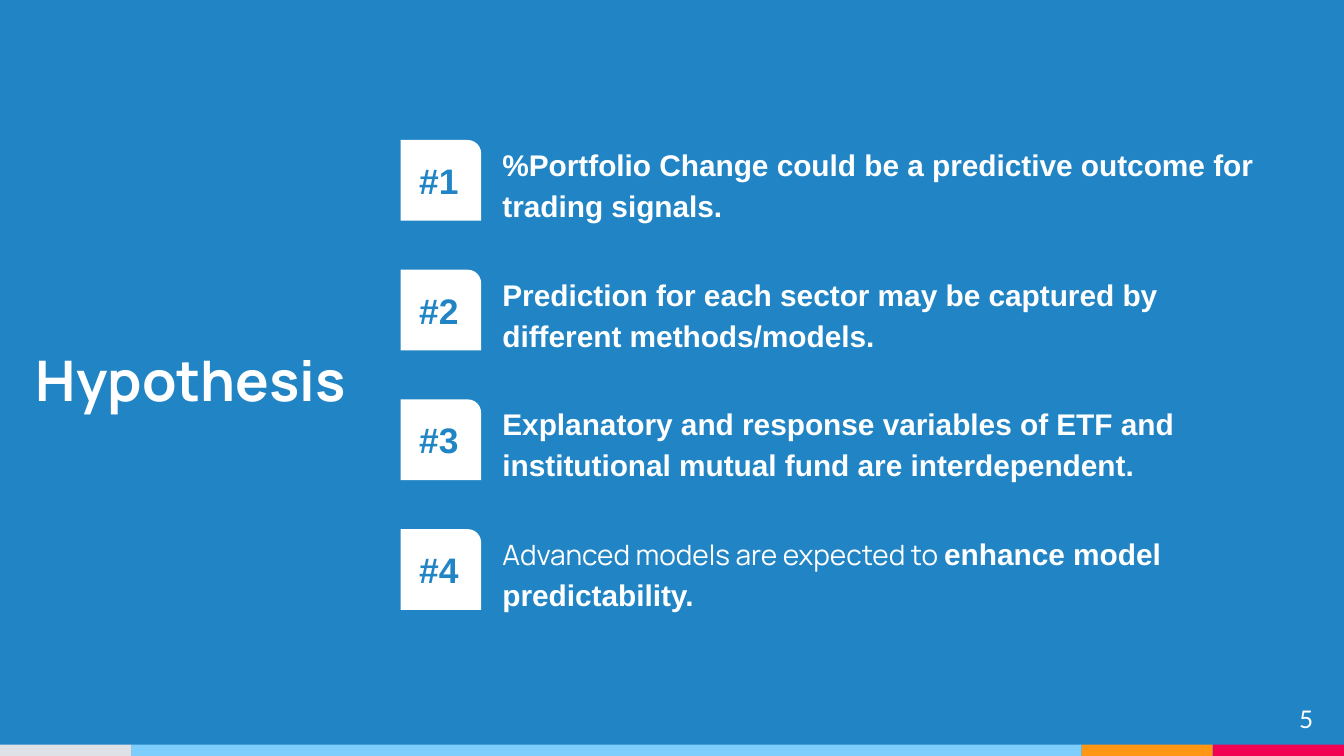
import pptx
import pptx.dml.color
import pptx.enum.shapes
import pptx.enum.text
import pptx.util

Pt = pptx.util.Pt
Align = pptx.enum.text.PP_ALIGN
Anchor = pptx.enum.text.MSO_ANCHOR
Shape = pptx.enum.shapes.MSO_SHAPE

BLUE = "2185C5"
WHITE = "FFFFFF"
STRIPES = [("DEE2E6", 70.5), ("7ECEFD", 509), ("FF9715", 70.25), ("F20253", 70.25)]
HYPOTHESES = [
    [("%Portfolio Change could be a predictive outcome for trading signals.", "Arial", 16, True)],
    [("Prediction for each sector may be captured by different methods/models.", "Arial", 16, True)],
    [("Explanatory and response variables of ETF and institutional mutual fund "
      "are interdependent.", "Arial", 16, True)],
    [("Advanced models are expected to ", "Manrope", 15, False),
     ("enhance model predictability.", "Arial", 16, True)],
]
FIRST_BADGE_TOP = 75
ROW_PITCH = 69.5
BADGE_SIZE = 43.2


def set_fill(target, color):
    """Fill a shape or background with a solid hex colour."""
    target.fill.solid()
    target.fill.fore_color.rgb = pptx.dml.color.RGBColor.from_string(color)


def write_text(shape, runs, color, align=Align.LEFT, anchor=Anchor.TOP, spacing=None):
    """Write one paragraph of (text, font, size, bold) runs into a shape."""
    frame = shape.text_frame
    frame.word_wrap = True
    frame.vertical_anchor = anchor
    frame.margin_left = frame.margin_right = Pt(7.2)
    frame.margin_top = frame.margin_bottom = Pt(7.2)
    para = frame.paragraphs[0]
    para.alignment = align
    para.line_spacing = spacing
    for text, font, size, bold in runs:
        span = para.add_run()
        span.text = text
        span.font.name = font
        span.font.size = Pt(size)
        span.font.bold = bold
        span.font.color.rgb = pptx.dml.color.RGBColor.from_string(color)


def add_text(page, left, top, width, height, runs, **layout):
    """Add a white text box."""
    box = page.shapes.add_textbox(Pt(left), Pt(top), Pt(width), Pt(height))
    write_text(box, runs, WHITE, **layout)


def add_block(page, kind, left, top, width, height, color):
    """Add a filled shape without outline or shadow."""
    block = page.shapes.add_shape(kind, Pt(left), Pt(top), Pt(width), Pt(height))
    block.shadow.inherit = False
    block.line.fill.background()
    set_fill(block, color)
    return block


def add_footer(page):
    """Add the coloured stripes along the bottom edge and the page number."""
    left = 0
    for color, width in STRIPES:
        add_block(page, Shape.RECTANGLE, left, 399, width, 6, color)
        left += width
    add_text(page, 667.4, 370, 43.2, 24.5, [("5", "Lato", 13, False)], align=Align.RIGHT)


def add_hypothesis(page, number, runs):
    """Add a numbered badge with its statement."""
    top = FIRST_BADGE_TOP + (number - 1) * ROW_PITCH
    badge = add_block(page, Shape.ROUND_1_RECTANGLE, 214.6, top, BADGE_SIZE, BADGE_SIZE, WHITE)
    write_text(badge, [(f"#{number}", "Arial", 19, True)], BLUE, Align.CENTER, Anchor.MIDDLE)
    add_text(page, 262.1, top - 6.6, 432, 56.2, runs, spacing=1.15)


def main():
    """Build and save the slide."""
    deck = pptx.Presentation()
    deck.slide_width = Pt(720)
    deck.slide_height = Pt(405)
    page = deck.slides.add_slide(deck.slide_layouts[6])
    set_fill(page.background, BLUE)
    add_footer(page)
    add_text(page, 12.2, 160.6, 202.3, 67.7, [("Hypothesis", "Manrope", 30, True)],
             anchor=Anchor.BOTTOM)
    for number, runs in enumerate(HYPOTHESES, 1):
        add_hypothesis(page, number, runs)
    deck.save("out.pptx")


if __name__ == "__main__":
    main()
